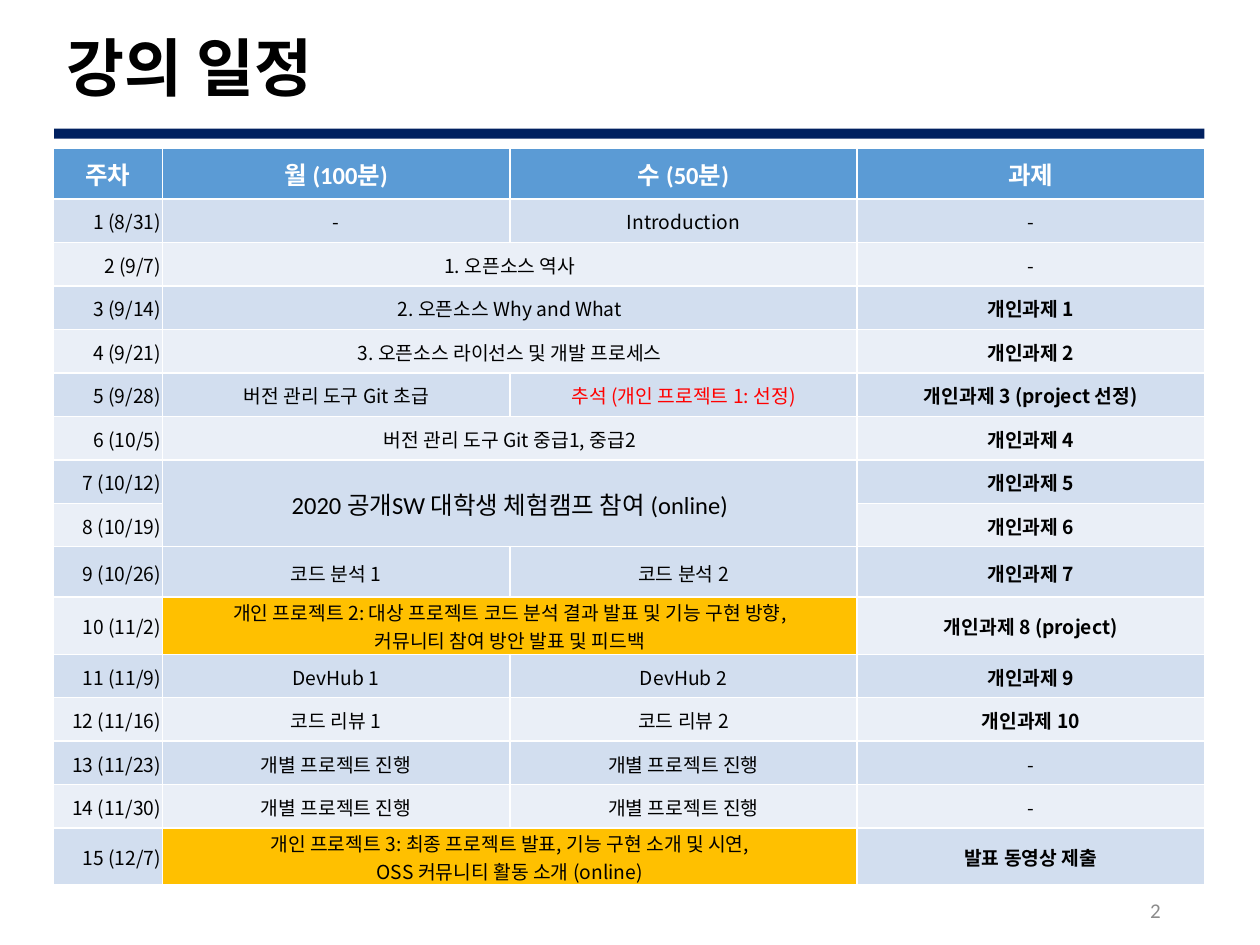
"""Build the lecture schedule slide with its weekly table."""

from dataclasses import dataclass

from pptx import Presentation
from pptx.dml.color import RGBColor
from pptx.enum.shapes import MSO_SHAPE
from pptx.enum.text import MSO_ANCHOR, PP_ALIGN
from pptx.table import Table, _Cell
from pptx.text.text import TextFrame
from pptx.util import Inches, Pt

BLACK = RGBColor(0x00, 0x00, 0x00)
WHITE = RGBColor(0xFF, 0xFF, 0xFF)
RED = RGBColor(0xFF, 0x00, 0x00)
GRAY = RGBColor(0x8C, 0x8C, 0x8C)
NAVY = RGBColor(0x00, 0x20, 0x60)
HEADER_BLUE = RGBColor(0x5B, 0x9B, 0xD5)
ODD_BAND = RGBColor(0xD2, 0xDE, 0xEF)
EVEN_BAND = RGBColor(0xEA, 0xEF, 0xF7)
ORANGE = RGBColor(0xFF, 0xC0, 0x00)

HEADING_FONT = "Calibri"
BODY_FONT = "Noto Sans CJK KR"
HEADER_HEIGHT = Inches(0.4)
WEEK_HEIGHT = Inches(0.69) // 2
TALL_HEIGHT = Inches(0.4)
COLUMN_WIDTHS = [Inches(0.87)] + [Inches(8.27) // 3] * 3


@dataclass(frozen=True)
class TextStyle:
    size: float = 11
    font: str = BODY_FONT
    color: RGBColor = BLACK
    bold: bool = False
    alignment: PP_ALIGN = PP_ALIGN.CENTER


@dataclass(frozen=True)
class Week:
    date: str
    lessons: tuple[str, ...] = ()
    assignment: str = "-"
    style: TextStyle = TextStyle()
    wednesday_style: TextStyle = TextStyle()
    fill: RGBColor | None = None
    weeks_spanned: int = 1
    height: int = WEEK_HEIGHT


HEADER_STYLE = TextStyle(14, HEADING_FONT, WHITE, True)
DATE_STYLE = TextStyle(alignment=PP_ALIGN.RIGHT)
ASSIGNMENT_STYLE = TextStyle(bold=True)
HEADERS = ("주차", "월 (100분)", "수 (50분)", "과제")
PROJECT_WORK = ("개별 프로젝트 진행",) * 2
WEEKS = [
    Week("1 (8/31)", ("-", "Introduction")),
    Week("2 (9/7)", ("1. 오픈소스 역사",)),
    Week("3 (9/14)", ("2. 오픈소스 Why and What",), "개인과제 1"),
    Week("4 (9/21)", ("3. 오픈소스 라이선스 및 개발 프로세스",), "개인과제 2"),
    Week("5 (9/28)", ("버전 관리 도구 Git 초급", "추석 (개인 프로젝트 1: 선정)"),
         "개인과제 3 (project 선정)", wednesday_style=TextStyle(color=RED)),
    Week("6 (10/5)", ("버전 관리 도구 Git 중급1, 중급2",), "개인과제 4"),
    Week("7 (10/12)", ("2020 공개SW 대학생 체험캠프 참여 (online)",), "개인과제 5",
         style=TextStyle(14, HEADING_FONT), weeks_spanned=2),
    Week("8 (10/19)", assignment="개인과제 6"),
    Week("9 (10/26)", ("코드 분석 1", "코드 분석 2"), "개인과제 7", height=TALL_HEIGHT),
    Week("10 (11/2)",
         ("개인 프로젝트 2: 대상 프로젝트 코드 분석 결과 발표 및 기능 구현 방향,\n"
          "커뮤니티 참여 방안 발표 및 피드백",),
         "개인과제 8 (project)", fill=ORANGE, height=TALL_HEIGHT),
    Week("11 (11/9)", ("DevHub 1", "DevHub 2"), "개인과제 9"),
    Week("12 (11/16)", ("코드 리뷰 1", "코드 리뷰 2"), "개인과제 10"),
    Week("13 (11/23)", PROJECT_WORK),
    Week("14 (11/30)", PROJECT_WORK),
    Week("15 (12/7)",
         ("개인 프로젝트 3: 최종 프로젝트 발표, 기능 구현 소개 및 시연,\v"
          "OSS 커뮤니티 활동 소개 (online)",),
         "발표 동영상 제출", fill=ORANGE),
]


def write_text(text_frame: TextFrame, text: str, style: TextStyle) -> None:
    """Fill a text frame and format each of its paragraphs."""
    text_frame.text = text
    for paragraph in text_frame.paragraphs:
        paragraph.alignment = style.alignment
        paragraph.font.size = Pt(style.size)
        paragraph.font.name = style.font
        paragraph.font.bold = style.bold
        paragraph.font.color.rgb = style.color


def fill_cell(cell: _Cell, text: str, style: TextStyle, fill: RGBColor) -> None:
    """Write a vertically centred cell on a solid fill."""
    write_text(cell.text_frame, text, style)
    cell.vertical_anchor = MSO_ANCHOR.MIDDLE
    cell.fill.solid()
    cell.fill.fore_color.rgb = fill


def fill_week_cell(cell: _Cell, text: str, style: TextStyle, fill: RGBColor) -> None:
    """Write a weekly cell with tight margins."""
    fill_cell(cell, text, style, fill)
    cell.margin_left = cell.margin_right = cell.margin_top = Inches(0.01)
    cell.margin_bottom = 0


def fill_week(table: Table, row: int, week: Week) -> None:
    """Write one week of the schedule into a table row."""
    band = ODD_BAND if row % 2 else EVEN_BAND
    table.rows[row].height = week.height
    fill_week_cell(table.cell(row, 0), week.date, DATE_STYLE, band)
    if len(week.lessons) == 1:
        table.cell(row, 1).merge(table.cell(row + week.weeks_spanned - 1, 2))
    for column, (lesson, style) in enumerate(
            zip(week.lessons, (week.style, week.wednesday_style)), start=1):
        fill_week_cell(table.cell(row, column), lesson, style, week.fill or band)
    assignment_style = TextStyle() if week.assignment == "-" else ASSIGNMENT_STYLE
    fill_week_cell(table.cell(row, 3), week.assignment, assignment_style, band)


def main() -> None:
    """Create and save the presentation."""
    presentation = Presentation()
    presentation.slide_width = Inches(10)
    presentation.slide_height = Inches(7.5)
    slide = presentation.slides.add_slide(presentation.slide_layouts[5])

    title = slide.shapes.title
    title.left, title.top = Inches(0.43), Inches(0.18)
    title.width, title.height = Inches(9.13), Inches(0.77)
    title.text_frame.vertical_anchor = MSO_ANCHOR.MIDDLE
    write_text(title.text_frame, "강의 일정",
               TextStyle(36, HEADING_FONT, bold=True, alignment=PP_ALIGN.LEFT))
    title.text_frame.paragraphs[0].line_spacing = 0.9

    title_bar = slide.shapes.add_shape(
        MSO_SHAPE.RECTANGLE, Inches(0.43), Inches(1.02), Inches(9.13), Inches(0.08))
    title_bar.shadow.inherit = False
    title_bar.fill.solid()
    title_bar.fill.fore_color.rgb = NAVY
    title_bar.line.fill.background()

    table = slide.shapes.add_table(
        len(WEEKS) + 1, len(HEADERS),
        Inches(0.42), Inches(1.18), Inches(9.14), Inches(5.73)).table
    table.rows[0].height = HEADER_HEIGHT
    for column, (header, width) in enumerate(zip(HEADERS, COLUMN_WIDTHS)):
        table.columns[column].width = width
        fill_cell(table.cell(0, column), header, HEADER_STYLE, HEADER_BLUE)
    for row, week in enumerate(WEEKS, start=1):
        fill_week(table, row, week)

    page_number = slide.shapes.add_textbox(
        Inches(7.06), Inches(7.05), Inches(2.25), Inches(0.35)).text_frame
    page_number.word_wrap = True
    page_number.vertical_anchor = MSO_ANCHOR.MIDDLE
    write_text(page_number, "2",
               TextStyle(12, HEADING_FONT, GRAY, alignment=PP_ALIGN.RIGHT))

    presentation.save("out.pptx")


if __name__ == "__main__":
    main()
